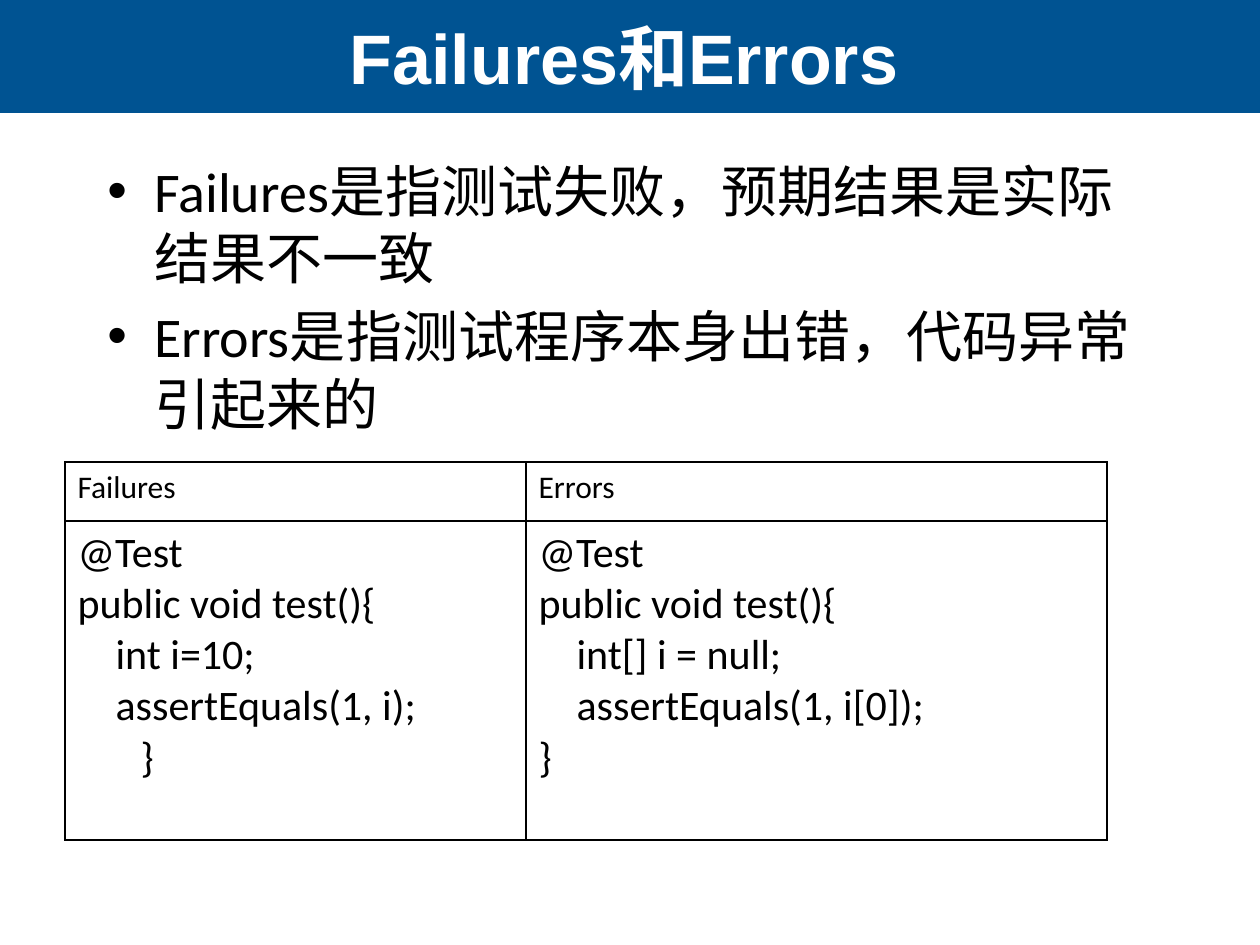
import pptx
import pptx.util
import pptx.dml.color
import pptx.enum.shapes
import pptx.enum.text
import pptx.oxml.ns
import lxml.etree

BLUE = pptx.dml.color.RGBColor(0x00, 0x53, 0x92)
WHITE = pptx.dml.color.RGBColor(0xFF, 0xFF, 0xFF)
BLACK = pptx.dml.color.RGBColor(0x00, 0x00, 0x00)

BULLETS = [
    "Failures是指测试失败，预期结果是实际结果不一致",
    "Errors是指测试程序本身出错，代码异常引起来的",
]
HEADERS = ["Failures", "Errors"]
CODE = [
    ["@Test", "public void test(){", "    int i=10;", "    assertEquals(1, i);", "\t}"],
    ["@Test", "public void test(){", "    int[] i = null;", "    assertEquals(1, i[0]);", "}"],
]


def px(n):
    return pptx.util.Emu(round(n * 914400 / 126))


def sub(parent, tag, **attrs):
    el = lxml.etree.SubElement(parent, pptx.oxml.ns.qn(tag))
    for name, value in attrs.items():
        el.set(name, str(value))
    return el


def write(tf, lines, size, font="Calibri", color=BLACK, bold=False,
          align=pptx.enum.text.PP_ALIGN.LEFT, bullet=None, indent=0, gap=0):
    tf.word_wrap = True
    for i, line in enumerate(lines):
        p = tf.add_paragraph() if i else tf.paragraphs[0]
        p.alignment = align
        if i and gap:
            p.space_before = pptx.util.Pt(gap)
        if bullet:
            pPr = p._p.get_or_add_pPr()
            pPr.set("marL", str(px(indent)))
            pPr.set("indent", str(-px(indent)))
            sub(pPr, "a:buFont", typeface="Arial")
            sub(pPr, "a:buChar", char=bullet)
        r = p.add_run()
        r.text = line
        r.font.size = pptx.util.Pt(size)
        r.font.name = font
        r.font.bold = bold
        r.font.color.rgb = color


def add_title(s, x, y, w, h):
    sp = s.shapes.add_shape(pptx.enum.shapes.MSO_SHAPE.RECTANGLE, px(x), px(y), px(w), px(h))
    sp.shadow.inherit = False
    sp.fill.solid()
    sp.fill.fore_color.rgb = BLUE
    sp.line.fill.background()
    tb = s.shapes.add_textbox(px(x + 2), px(y), px(w - 16), px(h))
    tb.text_frame.vertical_anchor = pptx.enum.text.MSO_ANCHOR.MIDDLE
    write(tb.text_frame, ["Failures和Errors"], 40, font="Arial", color=WHITE, bold=True,
          align=pptx.enum.text.PP_ALIGN.CENTER)


def add_bullets(s, x, y, w, h):
    tb = s.shapes.add_textbox(px(x), px(y), px(w), px(h))
    write(tb.text_frame, BULLETS, 32, bullet="•", indent=47, gap=6.4)


def style_cell(cell):
    tcPr = cell._tc.get_or_add_tcPr()
    for side in ("a:lnL", "a:lnR", "a:lnT", "a:lnB"):
        ln = sub(tcPr, side, w=pptx.util.Pt(1))
        sub(sub(ln, "a:solidFill"), "a:srgbClr", val=BLACK)
    cell.fill.background()


def add_code_table(s, x, y, widths, heights):
    frame = s.shapes.add_table(len(heights), len(widths), px(x), px(y),
                               px(sum(widths)), px(sum(heights)))
    table = frame.table
    for row, height in zip(table.rows, heights):
        row.height = px(height)
    for c, width in enumerate(widths):
        table.columns[c].width = px(width)
        for r, (lines, size) in enumerate([([HEADERS[c]], 18), (CODE[c], 24)]):
            cell = table.cell(r, c)
            style_cell(cell)
            write(cell.text_frame, lines, size)


def main():
    prs = pptx.Presentation()
    prs.slide_width, prs.slide_height = px(1260), px(945)
    s = prs.slides.add_slide(prs.slide_layouts[6])
    add_title(s, 0, 0, 1260, 113)
    add_bullets(s, 95, 150, 1056, 709)
    add_code_table(s, 65, 462, [461, 581], [59, 319])
    prs.save("out.pptx")


if __name__ == "__main__":
    main()
